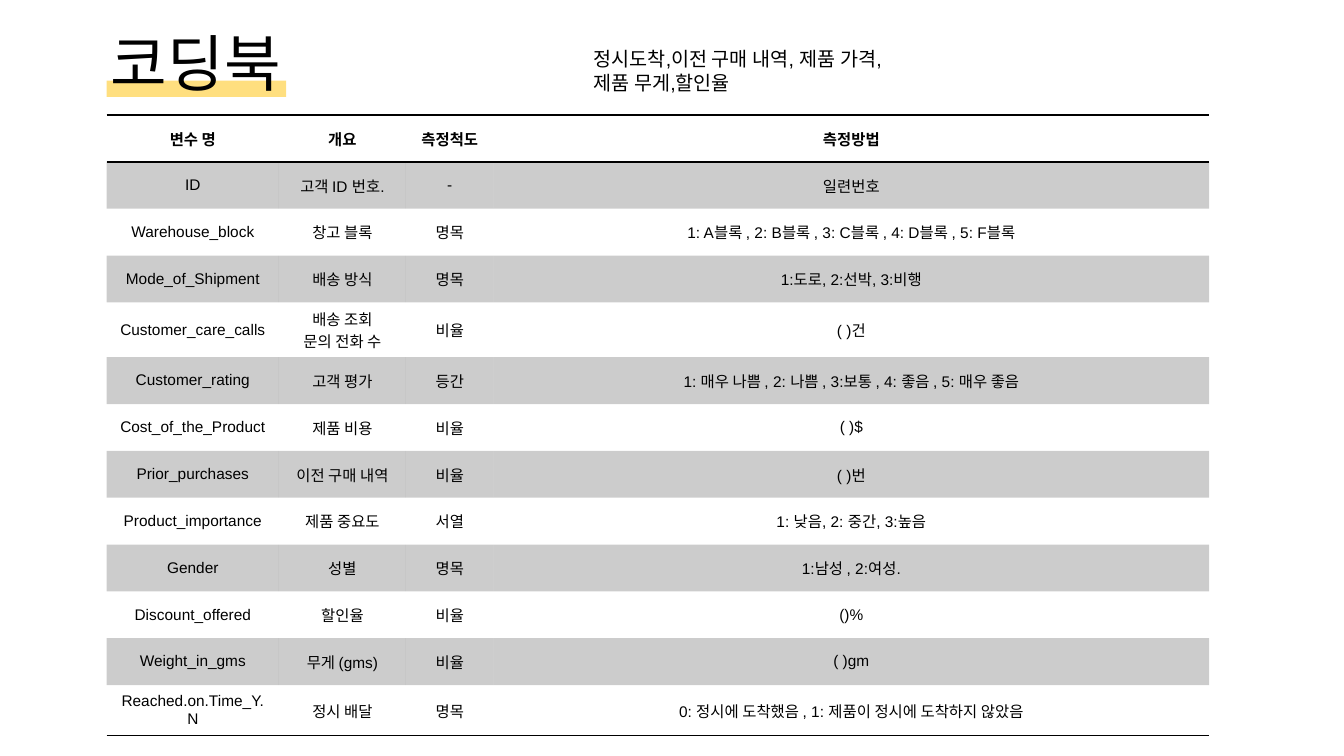
import pptx
import pptx.dml.color
import pptx.enum.shapes
import pptx.enum.text
import pptx.oxml
import pptx.oxml.ns
import pptx.util

Cm = pptx.util.Cm
Pt = pptx.util.Pt
ALIGN = pptx.enum.text.PP_ALIGN
ANCHOR = pptx.enum.text.MSO_ANCHOR
AUTO_SIZE = pptx.enum.text.MSO_AUTO_SIZE
NAMESPACE = pptx.oxml.ns.nsdecls("a")
PLAIN_STYLE = "{2D5ABB26-0587-4C30-8999-92F81FD0307C}"
BLACK = "000000"
YELLOW = "FFC000"

COLUMN_WIDTHS = [4.34, 3.2, 2.21, 18.03]
ROW_HEIGHT = 1.18
LAST_ROW_HEIGHT = 1.27
CODEBOOK = [
    ("변수 명", "개요", "측정척도", "측정방법"),
    ("ID", "고객 ID 번호.", "-", "일련번호"),
    ("Warehouse_block", "창고 블록", "명목", "1: A블록 , 2: B블록 , 3: C블록 , 4: D블록 , 5: F블록"),
    ("Mode_of_Shipment", "배송 방식", "명목", "1:도로, 2:선박, 3:비행"),
    ("Customer_care_calls", "배송 조회\n문의 전화 수", "비율", "( )건"),
    ("Customer_rating", "고객 평가", "등간", "1: 매우 나쁨 , 2: 나쁨 , 3:보통 , 4: 좋음 , 5: 매우 좋음"),
    ("Cost_of_the_Product", "제품 비용", "비율", "( )$"),
    ("Prior_purchases", "이전 구매 내역", "비율", "( )번"),
    ("Product_importance", "제품 중요도", "서열", "1: 낮음, 2: 중간, 3:높음"),
    ("Gender", "성별", "명목", "1:남성 , 2:여성."),
    ("Discount_offered", "할인율", "비율", "()%"),
    ("Weight_in_gms", "무게 (gms)", "비율", "( )gm"),
    ("Reached.on.Time_Y.N", "정시 배달", "명목", "0: 정시에 도착했음 , 1: 제품이 정시에 도착하지 않았음"),
]


def color(value):
    return pptx.dml.color.RGBColor.from_string(value)


def apply_format(target, values):
    for name, value in values.items():
        setattr(target, name, value)


def write_text(frame, text, size, bold=False, **para_format):
    frame.text = text
    for para in frame.paragraphs:
        apply_format(para, para_format)
        for span in para.runs:
            apply_format(span.font, {"name": "Arial", "size": Pt(size), "bold": bold})
            span.font.color.rgb = color(BLACK)


def fill_with(fill, value, percent):
    fill.solid()
    fill.fore_color.rgb = color(value)
    alpha = pptx.oxml.parse_xml(f'<a:alpha {NAMESPACE} val="{percent * 1000}"/>')
    fill._xPr.find(".//" + pptx.oxml.ns.qn("a:srgbClr")).append(alpha)


def add_rule(cell, edges):
    properties = cell._tc.get_or_add_tcPr()
    for position, edge in enumerate(edges):
        line = pptx.oxml.parse_xml(
            f'<a:ln{edge} {NAMESPACE} w="{Pt(1)}"><a:solidFill>'
            f'<a:srgbClr val="{BLACK}"/></a:solidFill></a:ln{edge}>'
        )
        properties.insert(position, line)


def add_heading(page, left, top, width, height):
    bar = page.shapes.add_shape(
        pptx.enum.shapes.MSO_SHAPE.RECTANGLE,
        Cm(left + 0.15), Cm(top + 1.32), Cm(4.52), Cm(0.41),
    )
    bar.shadow.inherit = False
    bar.line.fill.background()
    fill_with(bar.fill, YELLOW, 50)

    title = page.shapes.title
    apply_format(title, {"left": Cm(left), "top": Cm(top), "width": Cm(width), "height": Cm(height)})
    apply_format(title.text_frame, {
        "word_wrap": True, "auto_size": AUTO_SIZE.NONE, "vertical_anchor": ANCHOR.BOTTOM,
    })
    write_text(title.text_frame, "코딩북", 44, alignment=ALIGN.LEFT, line_spacing=0.9)
    bar._element.addnext(title._element)


def add_summary(page, left, top, width, height):
    box = page.shapes.add_textbox(Cm(left), Cm(top), Cm(width), Cm(height))
    frame = box.text_frame
    apply_format(frame, {"word_wrap": True, "auto_size": AUTO_SIZE.SHAPE_TO_FIT_TEXT})
    apply_format(frame, {f"margin_{side}": Cm(0.25) for side in ("left", "top", "right", "bottom")})
    write_text(frame, "정시도착,이전 구매 내역, 제품 가격, 제품 무게,할인율", 14)


def add_codebook(page, left, top, width, height):
    last = len(CODEBOOK) - 1
    frame = page.shapes.add_table(
        len(CODEBOOK), len(COLUMN_WIDTHS), Cm(left), Cm(top), Cm(width), Cm(height)
    )
    table = frame.table
    apply_format(table, {"first_row": False, "horz_banding": False})
    table._tbl.tblPr.find(pptx.oxml.ns.qn("a:tableStyleId")).text = PLAIN_STYLE
    for column, column_width in zip(table.columns, COLUMN_WIDTHS):
        column.width = Cm(column_width)
    for number, texts in enumerate(CODEBOOK):
        table.rows[number].height = Cm(LAST_ROW_HEIGHT if number == last else ROW_HEIGHT)
        for cell, text in zip(table.rows[number].cells, texts):
            write_text(cell.text_frame, text, 11, bold=number == 0, alignment=ALIGN.CENTER)
            cell.vertical_anchor = ANCHOR.MIDDLE
            if number % 2:
                fill_with(cell.fill, BLACK, 20)
            else:
                cell.fill.background()
            add_rule(cell, {0: "TB", last: "B"}.get(number, ""))


def main():
    deck = pptx.Presentation()
    apply_format(deck, {"slide_width": Cm(33.87), "slide_height": Cm(19.05)})
    page = deck.slides.add_slide(deck.slide_layouts[5])
    add_codebook(page, 2.69, 2.9, sum(COLUMN_WIDTHS), ROW_HEIGHT * 12 + LAST_ROW_HEIGHT)
    add_heading(page, 2.54, 0.71, 5.18, 1.93)
    add_summary(page, 14.71, 0.94, 8.33, 1.7)
    deck.save("out.pptx")


if __name__ == "__main__":
    main()
